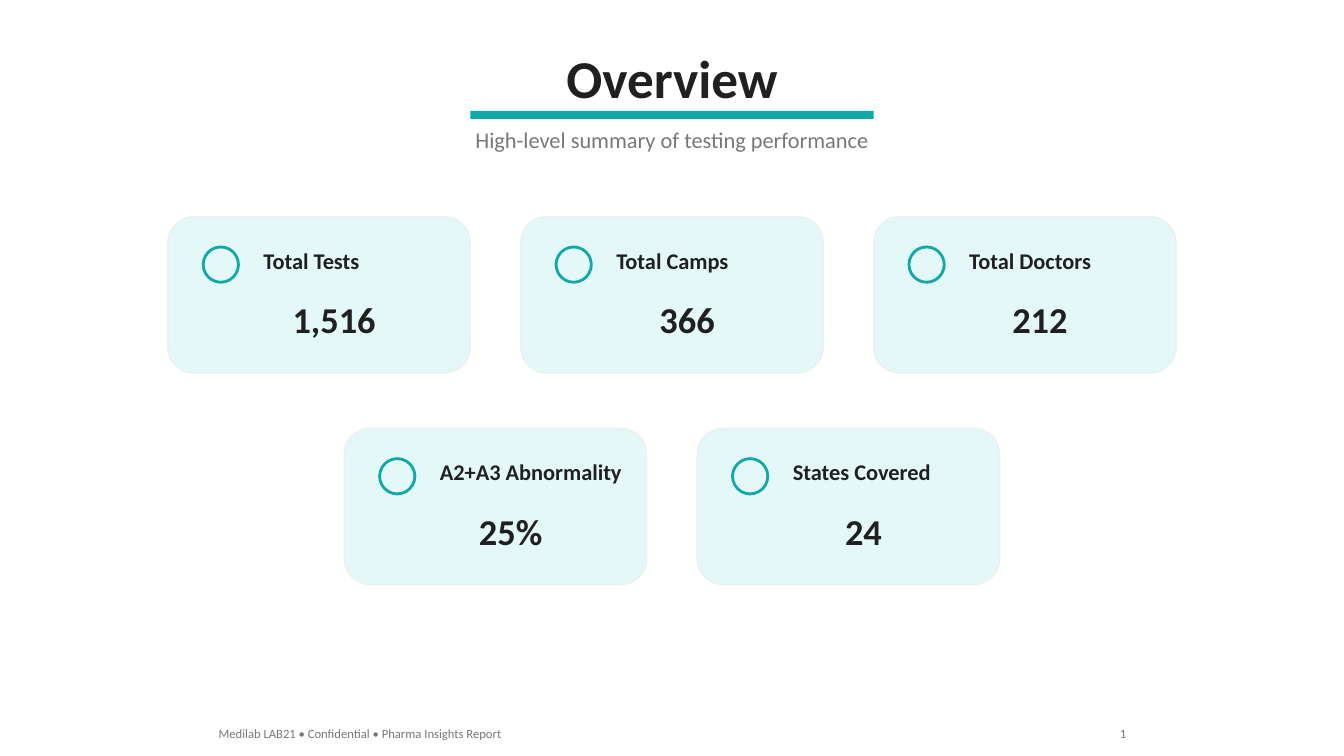
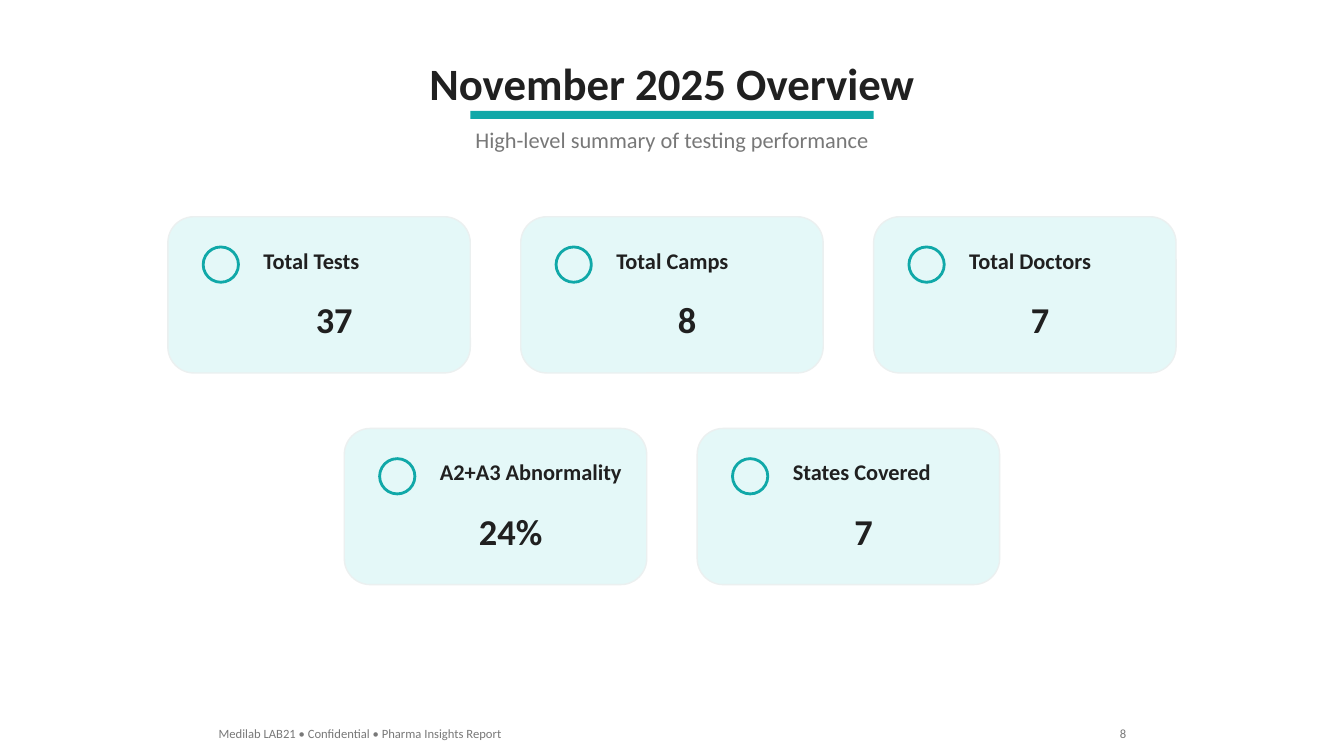
"""Build two overview slides of testing metrics shown as cards."""
import pptx
import pptx.dml.color
import pptx.enum.shapes
import pptx.enum.text
import pptx.util

Inches = pptx.util.Inches
RGBColor = pptx.dml.color.RGBColor
SHAPES = pptx.enum.shapes.MSO_SHAPE
ALIGN = pptx.enum.text.PP_ALIGN

TEAL = RGBColor(0x10, 0xA8, 0xA8)
CARD_FILL = RGBColor(0xE4, 0xF8, 0xF8)
CARD_LINE = RGBColor(0xEB, 0xF0, 0xF0)
INK = RGBColor(0x20, 0x20, 0x20)
GREY = RGBColor(0x78, 0x78, 0x78)

FONT = "Calibri"
SLIDE_WIDTH, SLIDE_HEIGHT = 13.33, 7.5
CARD_WIDTH, CARD_HEIGHT, CARD_GAP = 3, 1.55, 0.5
FIRST_ROW_TOP, ROW_PITCH = 2.15, 2.1
VALUE_CENTER = 1.65
DIGIT_WIDTH = 0.19
SYMBOL_WIDTHS = {",": 0.1, "%": 0.27}

SUBTITLE = "High-level summary of testing performance"
FOOTER = "Medilab LAB21 • Confidential • Pharma Insights Report"
CARD_ROWS = [
    [("Total Tests", 1.16), ("Total Camps", 1.33), ("Total Doctors", 1.43)],
    [("A2+A3 Abnormality", 2.03), ("States Covered", 1.59)],
]


def centered(width):
    """Return the left edge that centres a width on the slide."""
    return (SLIDE_WIDTH - width) / 2


def add_text(slide, text, left, top, width, height, size, color=INK, bold=False, align=ALIGN.LEFT):
    """Add a one-line text box that grows with its text."""
    box = slide.shapes.add_textbox(Inches(left), Inches(top), Inches(width), Inches(height))
    frame = box.text_frame
    frame.word_wrap = False
    frame.auto_size = pptx.enum.text.MSO_AUTO_SIZE.SHAPE_TO_FIT_TEXT
    paragraph = frame.paragraphs[0]
    paragraph.alignment = align
    run = paragraph.add_run()
    run.text = text
    run.font.name = FONT
    run.font.size = pptx.util.Pt(size)
    run.font.bold = bold
    run.font.color.rgb = color


def add_shape(slide, kind, left, top, width, height, fill=None, line=None, line_width=1):
    """Add a flat preset shape with an optional fill and outline."""
    shape = slide.shapes.add_shape(kind, Inches(left), Inches(top), Inches(width), Inches(height))
    shape.shadow.inherit = False
    if fill is None:
        shape.fill.background()
    else:
        shape.fill.solid()
        shape.fill.fore_color.rgb = fill
    if line is None:
        shape.line.fill.background()
    else:
        shape.line.color.rgb = line
        shape.line.width = pptx.util.Pt(line_width)


def add_header(slide, title, top, width, height, size):
    """Add the title, its teal underline and the subtitle."""
    add_text(slide, title, centered(width), top, width, height, size, bold=True, align=ALIGN.CENTER)
    add_shape(slide, SHAPES.RECTANGLE, centered(4), 1.1, 4, 0.08, fill=TEAL)
    add_text(slide, SUBTITLE, centered(4.15), 1.2, 4.15, 0.37, 16, GREY, align=ALIGN.CENTER)


def add_card(slide, left, top, label, label_width, value):
    """Add one metric card with a ring, a label and a value."""
    add_shape(slide, SHAPES.ROUNDED_RECTANGLE, left, top, CARD_WIDTH, CARD_HEIGHT, CARD_FILL, CARD_LINE)
    add_shape(slide, SHAPES.OVAL, left + 0.35, top + 0.3, 0.35, 0.35, line=TEAL, line_width=2)
    add_text(slide, label, left + 0.85, top + 0.25, label_width, 0.37, 16, bold=True)
    value_width = 0.2 + sum(SYMBOL_WIDTHS.get(character, DIGIT_WIDTH) for character in value)
    value_left = left + VALUE_CENTER - value_width / 2
    add_text(slide, value, value_left, top + 0.75, value_width, 0.54, 26, bold=True, align=ALIGN.CENTER)


def add_cards(slide, values):
    """Add the centred rows of cards, filled with the values in order."""
    remaining = iter(values)
    for row, cards in enumerate(CARD_ROWS):
        row_left = centered(len(cards) * (CARD_WIDTH + CARD_GAP) - CARD_GAP)
        for column, (label, label_width) in enumerate(cards):
            left = row_left + column * (CARD_WIDTH + CARD_GAP)
            add_card(slide, left, FIRST_ROW_TOP + row * ROW_PITCH, label, label_width, next(remaining))


def add_footer(slide, page):
    """Add the footer line and the page number."""
    add_text(slide, FOOTER, 2.07, 7.15, 3.05, 0.25, 9, GREY)
    add_text(slide, page, 11, 7.15, 0.27, 0.25, 9, GREY, align=ALIGN.RIGHT)


def add_overview(presentation, header, values, page):
    """Add one overview slide."""
    slide = presentation.slides.add_slide(presentation.slide_layouts[6])
    add_header(slide, *header)
    add_cards(slide, values)
    add_footer(slide, page)


def main():
    """Build and save the presentation."""
    presentation = pptx.Presentation()
    presentation.slide_width = Inches(SLIDE_WIDTH)
    presentation.slide_height = Inches(SLIDE_HEIGHT)
    add_overview(presentation, ("Overview", 0.4, 2.32, 0.74, 38),
                 ["1,516", "366", "212", "25%", "24"], "1")
    add_overview(presentation, ("November 2025 Overview", 0.5, 5.06, 0.64, 32),
                 ["37", "8", "7", "24%", "7"], "8")
    presentation.save("out.pptx")


if __name__ == "__main__":
    main()
